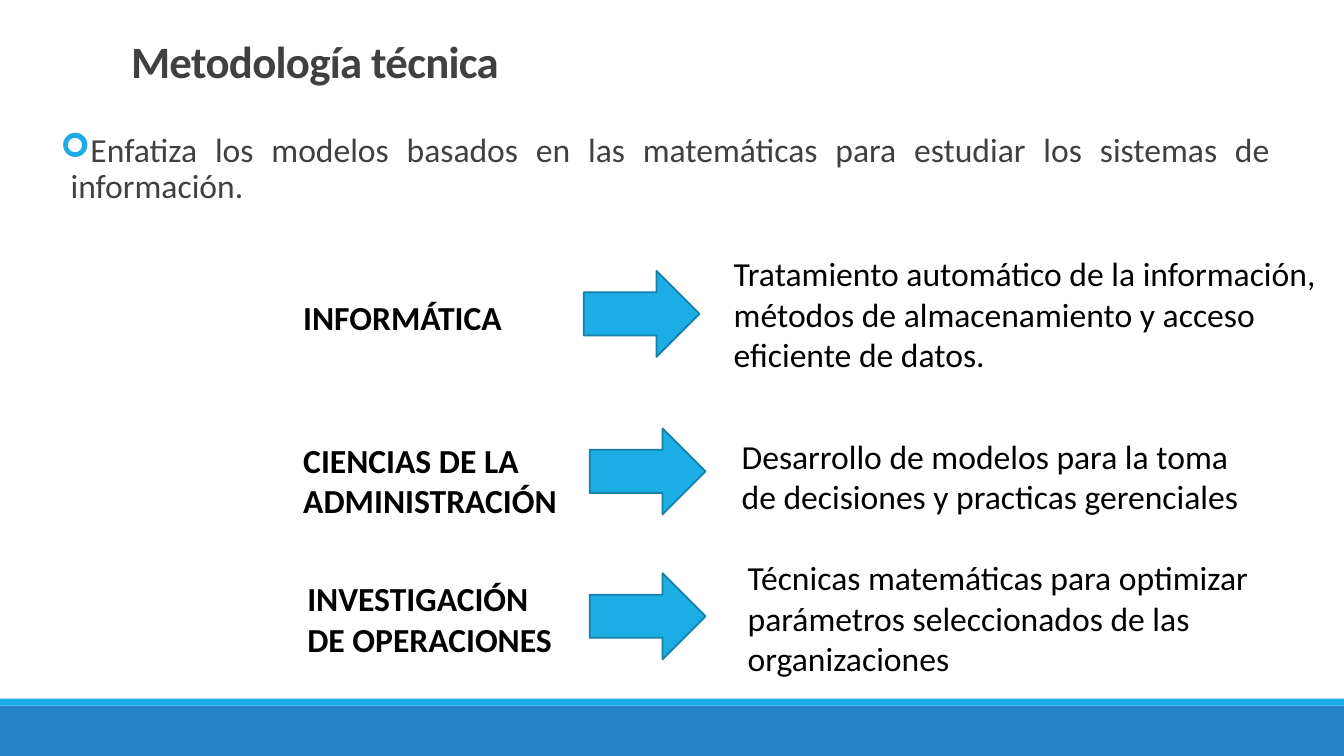
import pptx
import pptx.util
import pptx.oxml
import pptx.oxml.ns
import pptx.dml.color
import pptx.enum.shapes
import pptx.enum.text

Pt = pptx.util.Pt
ANCHOR = pptx.enum.text.MSO_ANCHOR
ALIGN = pptx.enum.text.PP_ALIGN
SHAPE = pptx.enum.shapes.MSO_SHAPE

COLORS = {
    "text": "000000",
    "heading": "404040",
    "accent": "1CADE4",
    "accent_edge": "1580A9",
    "band": "2683C6",
    "paper": "FFFFFF",
}
SLIDE_WIDTH, SLIDE_HEIGHT = 960, 540


class MethodologySlide:
    font_name = "Calibri"
    text_size = 24
    title_size = 32

    def __init__(self, deck):
        self.slide = deck.slides.add_slide(deck.slide_layouts[1])

    def color(self, name):
        return pptx.dml.color.RGBColor.from_string(COLORS[name])

    def place(self, shape, box):
        shape.left, shape.top, shape.width, shape.height = map(Pt, box)

    def style(self, paragraph, size, color, bold=False):
        font = paragraph.font
        font.name, font.size, font.bold = self.font_name, Pt(size), bold
        font.color.rgb = self.color(color)

    def title(self, wording, box):
        title = self.slide.shapes.title
        self.place(title, box)
        frame = title.text_frame
        frame.text = wording
        frame.word_wrap = True
        frame.auto_size = pptx.enum.text.MSO_AUTO_SIZE.NONE
        frame.vertical_anchor = ANCHOR.TOP
        frame.margin_top = Pt(8)
        heading = frame.paragraphs[0]
        heading.alignment = ALIGN.LEFT
        heading.line_spacing = 0.85
        self.style(heading, self.title_size, "heading", bold=True)
        heading.runs[0].font._element.set("spc", "-50")

    def body(self, wording, box):
        body = self.slide.placeholders[1]
        self.place(body, box)
        body.fill.solid()
        body.fill.fore_color.rgb = self.color("paper")
        frame = body.text_frame
        frame.text = wording
        frame.word_wrap = True
        frame.auto_size = pptx.enum.text.MSO_AUTO_SIZE.NONE
        frame.vertical_anchor = ANCHOR.TOP
        frame.margin_left = frame.margin_right = 0
        statement = frame.paragraphs[0]
        statement.alignment = ALIGN.JUSTIFY
        statement.line_spacing = 0.9
        statement.space_before, statement.space_after = Pt(0), Pt(2)
        self.bullet(statement, "➢", "accent", hanging=7.2)
        self.style(statement, self.text_size, "heading")

    def bullet(self, paragraph, symbol, color, hanging):
        properties = paragraph._p.get_or_add_pPr()
        properties.set("marL", str(Pt(hanging)))
        properties.set("indent", str(-Pt(hanging)))
        namespace = pptx.oxml.ns.nsdecls("a")
        for markup in (
            f'<a:buClr {namespace}><a:srgbClr val="{COLORS[color]}"/></a:buClr>',
            f'<a:buFont {namespace} typeface="Wingdings"/>',
            f'<a:buChar {namespace} char="{symbol}"/>',
        ):
            properties.append(pptx.oxml.parse_xml(markup))

    def text(self, wording, box, bold=False):
        frame = self.slide.shapes.add_textbox(*map(Pt, box)).text_frame
        frame.word_wrap = True
        frame.text = wording
        self.style(frame.paragraphs[0], self.text_size, "text", bold)

    def shape(self, kind, box, fill, edge=None):
        shape = self.slide.shapes.add_shape(kind, *map(Pt, box))
        shape.shadow.inherit = False
        shape.fill.solid()
        shape.fill.fore_color.rgb = self.color(fill)
        if edge:
            shape.line.color.rgb = self.color(edge)
            shape.line.width = Pt(1.25)
        else:
            shape.line.fill.background()


def main():
    deck = pptx.Presentation()
    deck.slide_width, deck.slide_height = Pt(SLIDE_WIDTH), Pt(SLIDE_HEIGHT)
    page = MethodologySlide(deck)

    page.shape(SHAPE.RECTANGLE, (0, 504, SLIDE_WIDTH, 36), "band")
    page.shape(SHAPE.RECTANGLE, (0, 499, SLIDE_WIDTH, 5), "accent")
    page.title("Metodología técnica", (86.4, 22.3, 792, 114.5))
    page.body(
        "Enfatiza los modelos basados en las matemáticas para estudiar "
        "los sistemas de información.",
        (43.2, 91.4, 864, 77),
    )

    # Each row: discipline and its box, arrow corner, contribution and its box
    disciplines = [
        ("INFORMÁTICA", (209.5, 208.8, 175.7, 36), (416.9, 193.5),
         "Tratamiento automático de la información, métodos de "
         "almacenamiento y acceso eficiente de datos.",
         (517, 177.3, 443, 94.5)),
        ("CIENCIAS DE LA ADMINISTRACIÓN", (209.5, 310.5, 201, 65.4), (421.2, 306),
         "Desarrollo de modelos para la toma de decisiones y practicas gerenciales",
         (522.7, 307.6, 378.7, 65.4)),
        ("INVESTIGACIÓN DE OPERACIONES", (212.4, 409.5, 202.3, 65.4), (421.2, 409.5),
         "Técnicas matemáticas para optimizar parámetros seleccionados de las "
         "organizaciones",
         (527, 394.5, 396.7, 94.5)),
    ]
    for discipline, label_box, arrow_corner, contribution, contribution_box in disciplines:
        page.text(discipline, label_box, bold=True)
        page.shape(SHAPE.RIGHT_ARROW, (*arrow_corner, 82.8, 61.5), "accent", "accent_edge")
        page.text(contribution, contribution_box)

    deck.save("out.pptx")


if __name__ == "__main__":
    main()
